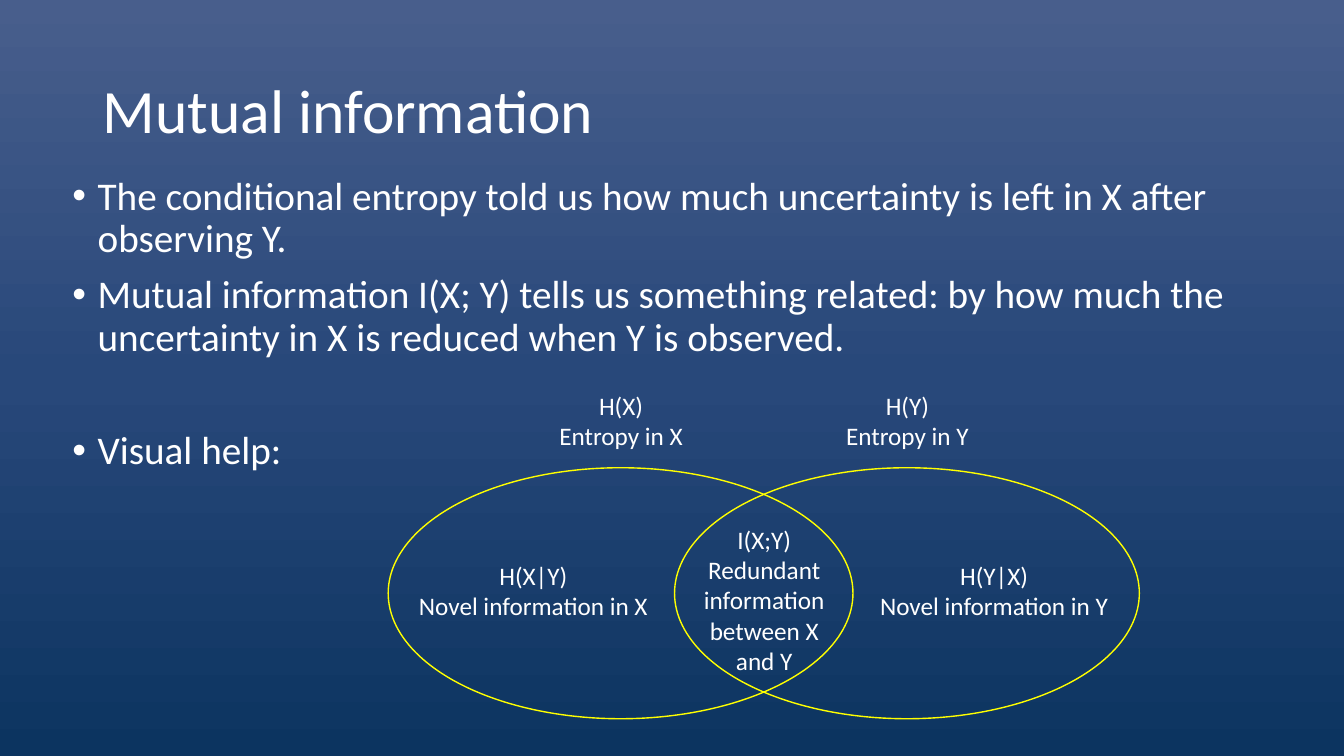
from copy import deepcopy
from lxml.etree import SubElement
from pptx import Presentation
from pptx.dml.color import RGBColor
from pptx.enum.shapes import MSO_SHAPE
from pptx.enum.text import MSO_ANCHOR, MSO_AUTO_SIZE, PP_ALIGN
from pptx.oxml.ns import qn
from pptx.util import Inches, Pt


def color(code):
    return RGBColor.from_string(code)


def write(shape, lines, size=18, align=PP_ALIGN.CENTER, anchor=MSO_ANCHOR.TOP,
          spacing=1.0, before=0, bullet=False):
    frame = shape.text_frame
    frame.word_wrap = True
    frame.auto_size = MSO_AUTO_SIZE.NONE
    frame.vertical_anchor = anchor
    frame.text = "\n".join(lines)
    for para in frame.paragraphs:
        para.alignment = align
        para.line_spacing = spacing
        para.space_before = Pt(before)
        font = para.runs[0].font
        font.name, font.size = "Calibri", Pt(size)
        font.color.rgb = color("FFFFFF")
        if bullet:
            props = para._p.get_or_add_pPr()
            props.set("marL", str(Inches(0.25)))
            props.set("indent", str(Inches(-0.25)))
            SubElement(props, qn("a:buFont")).set("typeface", "Arial")
            SubElement(props, qn("a:buChar")).set("char", "•")


deck = Presentation()
deck.slide_width, deck.slide_height = Inches(13.33), Inches(7.5)
slide = deck.slides.add_slide(deck.slide_layouts[5])
shapes = slide.shapes

# Background: three stops from top to bottom
fill = slide.background.fill
fill.gradient()
fill.gradient_angle = 270
stops = fill.gradient_stops[0]._gs.getparent()
stops.insert(1, deepcopy(stops[0]))
for stop, (place, code) in zip(fill.gradient_stops,
                               [(0, "485E8C"), (0.5, "28487A"), (1, "0C3460")]):
    stop.position = place
    stop.color.rgb = color(code)

# Title
title = shapes.title
title.left, title.top = Inches(0.92), Inches(0.4)
title.width, title.height = Inches(11.5), Inches(1.45)
write(title, ["Mutual information"], size=44, align=PP_ALIGN.LEFT,
      anchor=MSO_ANCHOR.MIDDLE, spacing=0.9)

# Bullets, with a wide gap above the last one
body = shapes.add_textbox(Inches(0.62), Inches(1.7), Inches(11.79), Inches(5.29))
write(body, [
    "The conditional entropy told us how much uncertainty is left in X after observing Y.",
    "Mutual information I(X; Y) tells us something related: by how much the "
    "uncertainty in X is reduced when Y is observed.",
    "Visual help:",
], size=28, align=PP_ALIGN.LEFT, spacing=0.9, before=10, bullet=True)
body.text_frame.paragraphs[-1].space_before = Pt(50.7)

# Venn diagram: two overlapping ellipses
for left in (6.69, 3.85):
    oval = shapes.add_shape(MSO_SHAPE.OVAL, Inches(left), Inches(4.64),
                            Inches(4.61), Inches(2.49))
    oval.shadow.inherit = False
    oval.fill.background()
    oval.line.color.rgb = color("FFFF00")
    oval.line.width = Pt(1)

# Labels: centre, top, width, height, lines
labels = [
    (9.0, 3.82, 1.7, 0.71, ["H(Y)", "Entropy in Y"]),
    (9.86, 5.51, 2.7, 0.71, ["H(Y|X)", "Novel information in Y"]),
    (6.16, 3.82, 1.7, 0.71, ["H(X)", "Entropy in X"]),
    (5.29, 5.51, 2.7, 0.71, ["H(X|Y)", "Novel information in X"]),
    (7.58, 5.15, 1.46, 1.62, ["I(X;Y)", "Redundant information between X and Y"]),
]
for mid, top, width, height, lines in labels:
    label = shapes.add_textbox(Inches(mid - width / 2), Inches(top),
                               Inches(width), Inches(height))
    write(label, lines)

deck.save("out.pptx")
